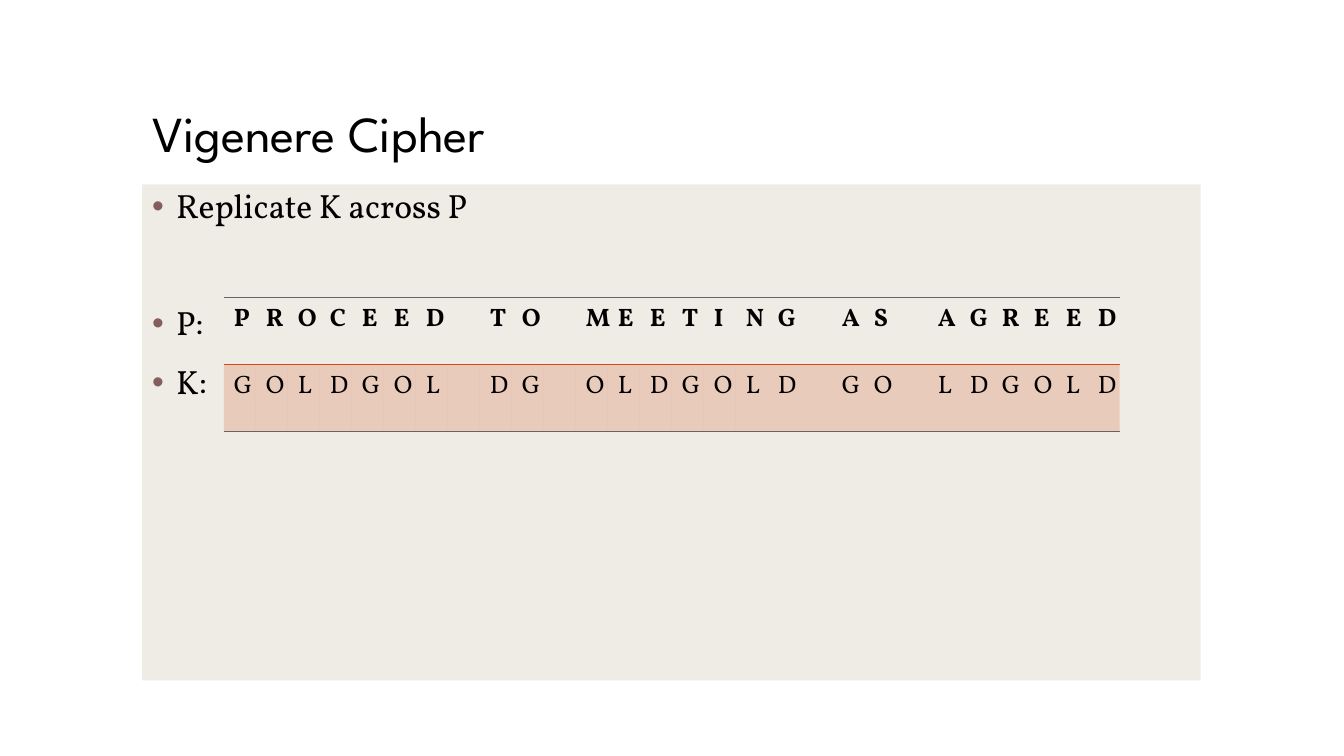
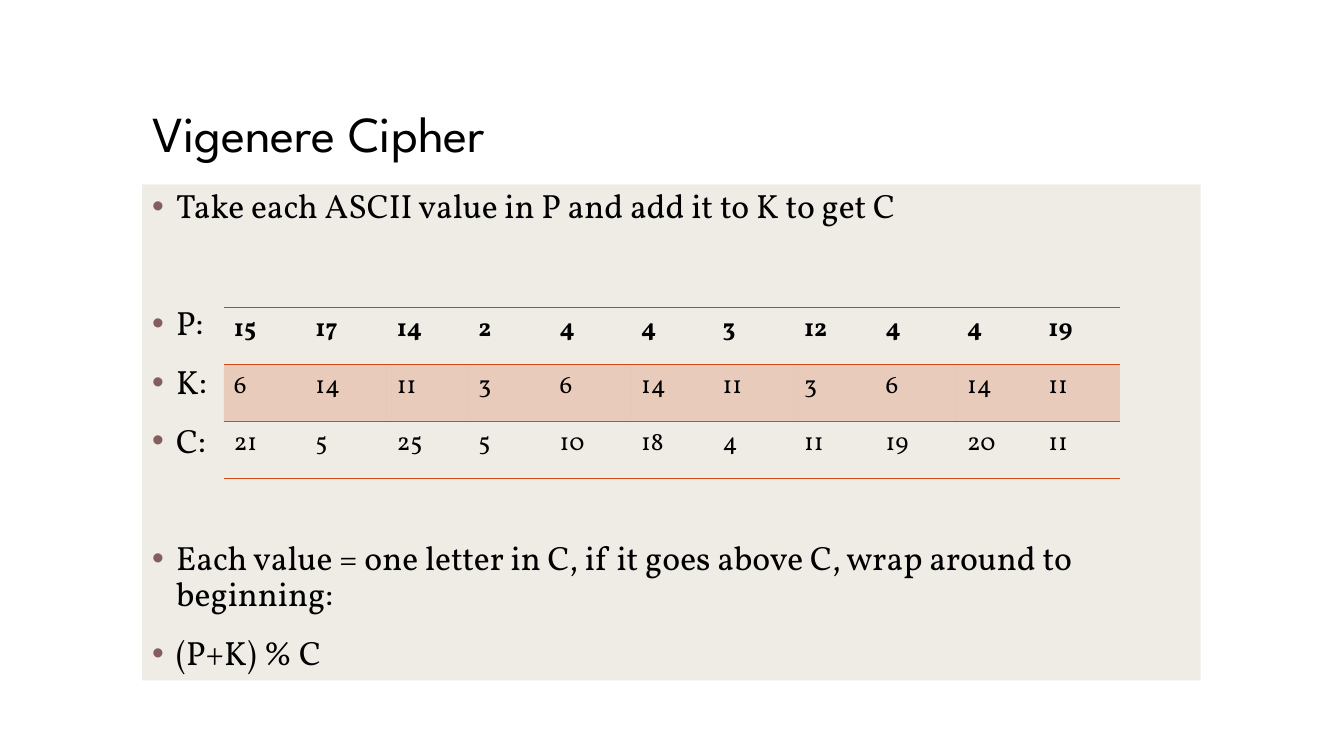
from dataclasses import dataclass

from lxml import etree
from pptx import Presentation
from pptx.dml.color import RGBColor
from pptx.enum.shapes import MSO_SHAPE
from pptx.enum.text import MSO_ANCHOR, PP_ALIGN
from pptx.oxml.ns import qn
from pptx.util import Inches, Pt

RECTANGLE = MSO_SHAPE.RECTANGLE
TOP, BOTTOM = MSO_ANCHOR.TOP, MSO_ANCHOR.BOTTOM
LEFT = PP_ALIGN.LEFT
PLAIN_TABLE_STYLE = "{2D5ABB26-0587-4C30-8999-92F81FD0307C}"


@dataclass(frozen=True)
class Theme:
    ink: str = "000000"
    panel: str = "E9E5DC"
    panel_opacity: int = 70
    bullet: str = "855D5D"
    accent: str = "D34817"
    band_opacity: int = 20
    outer_rule: str = "696464"
    rule_width: float = 1
    title_font: str = "League Spartan"
    body_font: str = "Vollkorn"
    title_size: int = 36
    body_size: int = 24
    cell_size: int = 18
    line_spacing: float = 0.9
    space_before: int = 16
    section_space: int = 58


THEME = Theme()

# Boxes: left, top, width, height in inches
TITLE_BOX = (1.41, 0.42, 10.5, 1.25)
PANEL_BOX = (1.41, 1.83, 10.5, 4.92)
LETTERS_BOX = (2.22, 2.95, 8.89, 1.33)
NUMBERS_BOX = (2.22, 3.05, 8.89, 1.7)


def inches(box):
    return [Inches(length) for length in box]


def set_fill(fill, owner, color, opacity):
    """Fill with a see-through colour; owner is the XML that holds the fill."""
    fill.solid()
    fill.fore_color.rgb = RGBColor.from_string(color)
    shade = owner.find(qn("a:solidFill")).find(qn("a:srgbClr"))
    etree.SubElement(shade, qn("a:alpha"), val=str(opacity * 1000))


def write(paragraph, text, *, size, font=THEME.body_font, bold=False,
          line_spacing=None, before=None):
    paragraph.alignment = LEFT
    if line_spacing:
        paragraph.line_spacing = line_spacing
    if before is not None:
        paragraph.space_before = Pt(before)
    run = paragraph.add_run()
    run.text = text
    run.font.size = Pt(size)
    run.font.name = font
    run.font.bold = bold
    run.font.color.rgb = RGBColor.from_string(THEME.ink)


def add_bullet(paragraph):
    properties = paragraph._p.get_or_add_pPr()
    properties.set("marL", str(Inches(0.24)))
    properties.set("indent", str(-Inches(0.25)))
    color = etree.SubElement(properties, qn("a:buClr"))
    etree.SubElement(color, qn("a:srgbClr"), val=THEME.bullet)
    etree.SubElement(properties, qn("a:buFont"), typeface="Arial")
    etree.SubElement(properties, qn("a:buChar"), char="•")


def draw_rule(cell, side, color):
    line = etree.SubElement(cell._tc.get_or_add_tcPr(), qn(side),
                            w=str(Pt(THEME.rule_width)))
    fill = etree.SubElement(line, qn("a:solidFill"))
    etree.SubElement(fill, qn("a:srgbClr"), val=color)


def add_title(slide, box, text):
    frame = slide.shapes.add_textbox(*inches(box)).text_frame
    frame.word_wrap = True
    frame.vertical_anchor = BOTTOM
    write(frame.paragraphs[0], text, size=THEME.title_size,
          font=THEME.title_font, line_spacing=THEME.line_spacing)


def add_panel(slide, box, points):
    """Shaded panel of bullets; each point is (text, starts a section)."""
    panel = slide.shapes.add_shape(RECTANGLE, *inches(box))
    panel.shadow.inherit = False
    panel.line.fill.background()
    set_fill(panel.fill, panel._element.spPr, THEME.panel, THEME.panel_opacity)
    frame = panel.text_frame
    frame.word_wrap = True
    frame.vertical_anchor = TOP
    for index, (text, starts_section) in enumerate(points):
        paragraph = frame.add_paragraph() if index else frame.paragraphs[0]
        write(paragraph, text, size=THEME.body_size,
              line_spacing=THEME.line_spacing,
              before=THEME.section_space if starts_section
              else THEME.space_before)
        add_bullet(paragraph)


def add_cipher_table(slide, box, rows, rules):
    """Table with a bold first row and a tinted second; rules run top down."""
    left, top, width, height = inches(box)
    table = slide.shapes.add_table(len(rows), len(rows[0]),
                                   left, top, width, height).table
    table.first_row = table.horz_banding = False
    table._tbl.tblPr.find(qn("a:tableStyleId")).text = PLAIN_TABLE_STYLE
    for column in table.columns:
        column.width = width // len(rows[0])
    for index, values in enumerate(rows):
        table.rows[index].height = height // len(rows)
        for position, value in enumerate(values):
            cell = table.cell(index, position)
            if value.strip():
                write(cell.text_frame.paragraphs[0], value,
                      size=THEME.cell_size, bold=index == 0)
            for side, color in zip(("a:lnT", "a:lnB"), rules[index:index + 2]):
                if color:
                    draw_rule(cell, side, color)
            if index == 1:
                set_fill(cell.fill, cell._tc.tcPr,
                         THEME.accent, THEME.band_opacity)


def add_cipher_slide(deck, points, table_box, rows, rules):
    slide = deck.slides.add_slide(deck.slide_layouts[6])
    add_panel(slide, PANEL_BOX, points)
    add_title(slide, TITLE_BOX, "Vigenere Cipher")
    add_cipher_table(slide, table_box, rows, rules)


def main():
    deck = Presentation()
    deck.slide_width, deck.slide_height = Inches(13.33), Inches(7.5)

    # Key repeated under the message
    add_cipher_slide(
        deck,
        [("Replicate K across P", False), ("P:", True), ("K:", False)],
        LETTERS_BOX,
        ["PROCEED TO MEETING AS AGREED", "GOLDGOL DG OLDGOLD GO LDGOLD"],
        [THEME.outer_rule, THEME.accent, THEME.outer_rule])

    # Letter values added together
    add_cipher_slide(
        deck,
        [("Take each ASCII value in P and add it to K to get C", False),
         ("P:", True), ("K:", False), ("C:", False),
         ("Each value = one letter in C, if it goes above C, "
          "wrap around to beginning:", True),
         ("(P+K) % C", False)],
        NUMBERS_BOX,
        ["15 17 14 2 4 4 3 12 4 4 19".split(),
         "6 14 11 3 6 14 11 3 6 14 11".split(),
         "21 5 25 5 10 18 4 11 19 20 11".split()],
        [THEME.outer_rule, THEME.accent, None, THEME.accent])

    deck.save("out.pptx")


if __name__ == "__main__":
    main()
